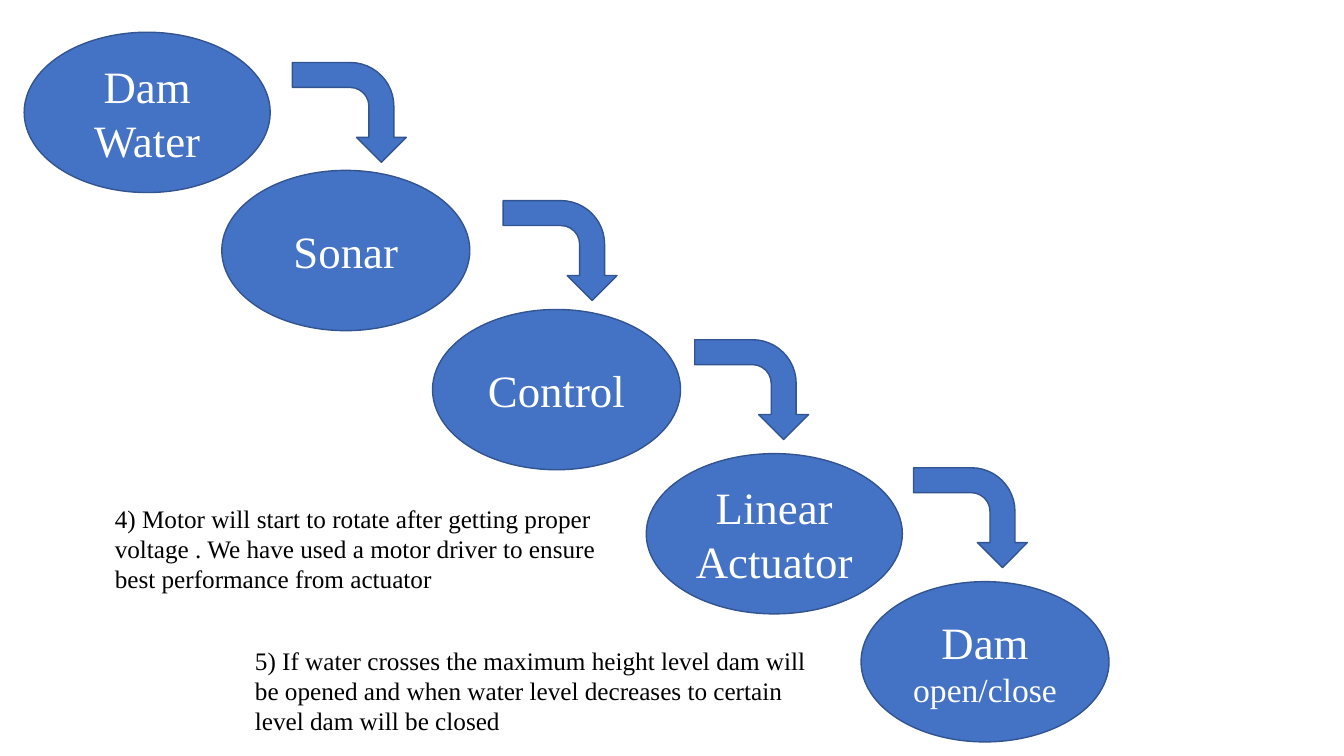
from dataclasses import dataclass

from pptx import Presentation
from pptx.dml.color import RGBColor
from pptx.enum import shapes, text
from pptx.util import Inches, Pt


@dataclass(frozen=True)
class Theme:
    font: str = "Times New Roman"
    fill: RGBColor = RGBColor(0x44, 0x72, 0xC4)
    outline: RGBColor = RGBColor(0x32, 0x54, 0x91)
    light: RGBColor = RGBColor(0xFF, 0xFF, 0xFF)
    dark: RGBColor = RGBColor(0, 0, 0)
    stage_size: Pt = Pt(32)
    detail_size: Pt = Pt(24)
    note_size: Pt = Pt(18)


THEME = Theme()
STAGE_HEIGHT = 1.59
ARROW_WIDTH, ARROW_HEIGHT = 0.99, 1.13

# Left, top, width, paragraphs; each paragraph is a list of (words, size).
STAGES = [
    (0.24, 0.32, 2.44, [[("Dam Water", THEME.stage_size)]]),
    (2.2, 1.69, 2.46, [[("Sonar", THEME.stage_size)]]),
    (4.29, 3.07, 2.46, [[("Control", THEME.stage_size)]]),
    (6.41, 4.5, 2.54, [[("Linear", THEME.stage_size)],
                       [("Actuator", THEME.stage_size)]]),
    (8.54, 5.77, 2.46, [[("Dam ", THEME.stage_size),
                         ("open/close", THEME.detail_size)]]),
]
ARROWS = [(2.97, 0.55), (5.06, 1.92), (6.96, 3.3), (9.13, 4.57)]
NOTES = [
    (1.04, 4.94, 5.38, [
        "4) Motor will start to rotate after getting proper voltage . "
        "We have used a motor driver to ensure",
        "best performance from actuator"]),
    (2.43, 6.35, 5.75, [
        "5) If water crosses the maximum height level dam will be opened and "
        "when water level decreases to certain level dam will be closed"]),
]
NOTE_HEIGHT = 1.01


def add_filled_shape(slide, kind, left, top, width, height):
    shape = slide.shapes.add_shape(
        kind, Inches(left), Inches(top), Inches(width), Inches(height))
    shape.shadow.inherit = False
    shape.fill.solid()
    shape.fill.fore_color.rgb = THEME.fill
    shape.line.color.rgb = THEME.outline
    shape.line.width = Pt(1)
    return shape


def write_paragraphs(frame, paragraphs, color, alignment):
    """Fill the frame with paragraphs of (words, size) runs."""
    frame.word_wrap = True
    for index, runs in enumerate(paragraphs):
        paragraph = frame.add_paragraph() if index else frame.paragraphs[0]
        paragraph.alignment = alignment
        paragraph.font.name = THEME.font
        paragraph.font.color.rgb = color
        sizes = {size for _, size in runs}
        if len(sizes) == 1:
            paragraph.font.size = runs[0][1]
        for words, size in runs:
            run = paragraph.add_run()
            run.text = words
            if len(sizes) > 1:
                run.font.size = size


def add_stage(slide, left, top, width, paragraphs):
    stage = add_filled_shape(
        slide, shapes.MSO_SHAPE.OVAL, left, top, width, STAGE_HEIGHT)
    stage.text_frame.vertical_anchor = text.MSO_ANCHOR.MIDDLE
    write_paragraphs(
        stage.text_frame, paragraphs, THEME.light, text.PP_ALIGN.CENTER)


def add_arrow(slide, left, top):
    arrow = add_filled_shape(slide, shapes.MSO_SHAPE.BENT_ARROW,
                             left, top, ARROW_WIDTH, ARROW_HEIGHT)
    arrow.rotation = 90


def add_note(slide, left, top, width, lines):
    note = slide.shapes.add_textbox(
        Inches(left), Inches(top), Inches(width), Inches(NOTE_HEIGHT))
    note.text_frame.auto_size = text.MSO_AUTO_SIZE.SHAPE_TO_FIT_TEXT
    write_paragraphs(note.text_frame,
                     [[(line, THEME.note_size)] for line in lines],
                     THEME.dark, text.PP_ALIGN.LEFT)


def main():
    presentation = Presentation()
    presentation.slide_width = Inches(13.33)
    presentation.slide_height = Inches(7.5)
    slide = presentation.slides.add_slide(presentation.slide_layouts[6])
    for stage in STAGES:
        add_stage(slide, *stage)
    for arrow in ARROWS:
        add_arrow(slide, *arrow)
    for note in NOTES:
        add_note(slide, *note)
    presentation.save("out.pptx")


if __name__ == "__main__":
    main()
